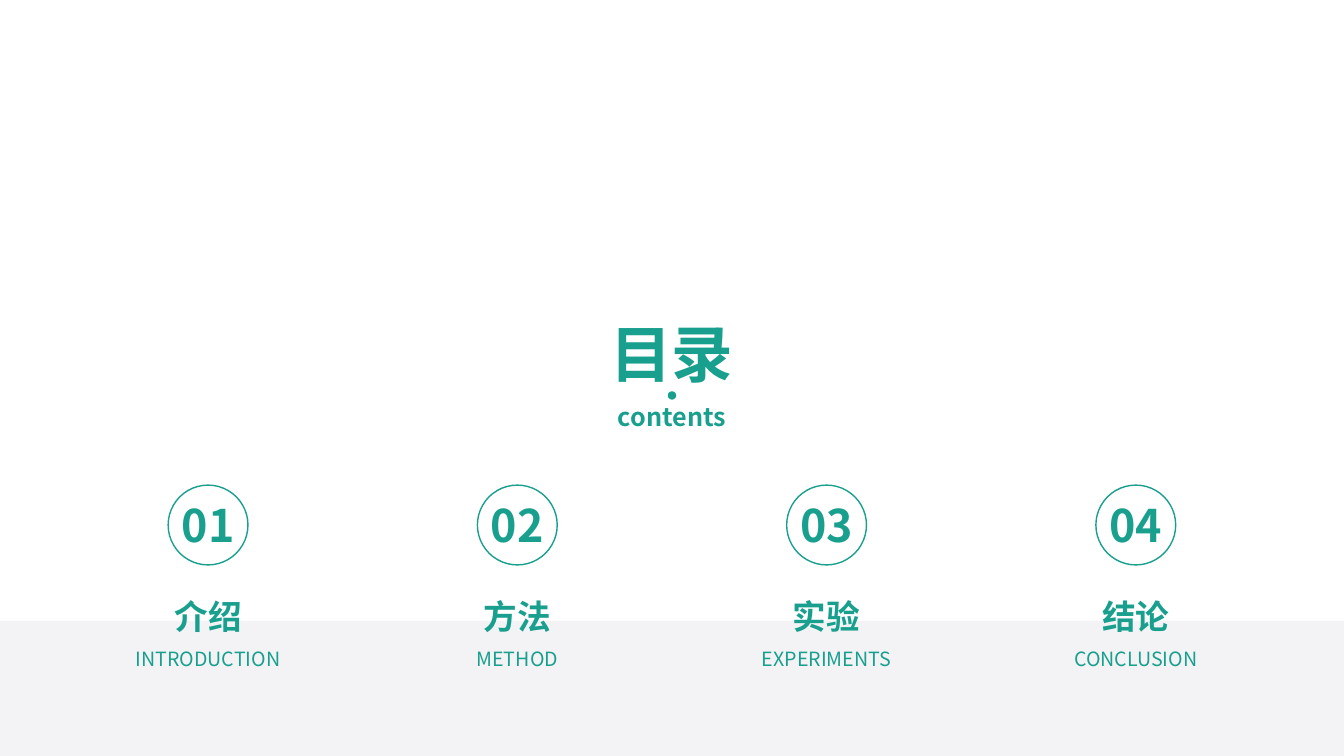
import pptx
import pptx.dml.color
import pptx.enum.shapes
import pptx.enum.text
import pptx.util
from lxml import etree

Pt = pptx.util.Pt
OVAL = pptx.enum.shapes.MSO_SHAPE.OVAL
RECTANGLE = pptx.enum.shapes.MSO_SHAPE.RECTANGLE

COLORS = {"teal": "199F8E", "band": "F3F3F5"}
FONT = "Noto Sans CJK SC"
SLIDE_WIDTH, SLIDE_HEIGHT = 960, 540


def add_label(text, center, top, width, height, size, bold=True):
    """Add one centred teal line of text around a horizontal centre."""
    label = slide.shapes.add_textbox(Pt(center - width / 2), Pt(top), Pt(width), Pt(height))
    frame = label.text_frame
    frame.word_wrap = True
    frame.auto_size = pptx.enum.text.MSO_AUTO_SIZE.SHAPE_TO_FIT_TEXT
    frame.text = text
    paragraph = frame.paragraphs[0]
    paragraph.alignment = pptx.enum.text.PP_ALIGN.CENTER
    font = paragraph.runs[0].font
    font.name = FONT
    font.size = Pt(size)
    font.bold = bold
    font.color.rgb = pptx.dml.color.RGBColor.from_string(COLORS["teal"])
    east_asian = etree.SubElement(font._element, pptx.oxml.ns.qn("a:ea"))
    east_asian.set("typeface", FONT)


def add_plain_shape(kind, left, top, width, height, fill=None, line=None):
    shape = slide.shapes.add_shape(kind, Pt(left), Pt(top), Pt(width), Pt(height))
    shape.shadow.inherit = False
    if fill:
        shape.fill.solid()
        shape.fill.fore_color.rgb = pptx.dml.color.RGBColor.from_string(COLORS[fill])
    else:
        shape.fill.background()
    if line:
        shape.line.color.rgb = pptx.dml.color.RGBColor.from_string(COLORS[line])
        shape.line.width = Pt(1)
    else:
        shape.line.fill.background()


presentation = pptx.Presentation()
presentation.slide_width = Pt(SLIDE_WIDTH)
presentation.slide_height = Pt(SLIDE_HEIGHT)
slide = presentation.slides.add_slide(presentation.slide_layouts[6])

# Grey band along the bottom
band_top = 443.5
add_plain_shape(RECTANGLE, 0, band_top, SLIDE_WIDTH, SLIDE_HEIGHT - band_top, fill="band")

# Heading
middle = SLIDE_WIDTH / 2
dot = 6
add_label("目录", middle, 221.8, 138, 60.5, 44)
add_plain_shape(OVAL, middle - dot / 2, 279.5, dot, dot, fill="teal")
add_label("contents", middle, 283, 138, 29, 18)

# Four numbered sections in equal columns
sections = [
    ("介绍", "INTRODUCTION"),
    ("方法", "METHOD"),
    ("实验", "EXPERIMENTS"),
    ("结论", "CONCLUSION"),
]
first_center, pitch = 148.6, 220.9
ring = 57
for index, (title, subtitle) in enumerate(sections):
    center = first_center + index * pitch
    add_plain_shape(OVAL, center - ring / 2, 346.5, ring, ring, line="teal")
    add_label(f"{index + 1:02d}", center, 352, 62, 46, 32)
    add_label(title, center, 421.8, 218, 36, 24)
    add_label(subtitle, center, 458.5, 218, 24.5, 14, bold=False)

presentation.save("out.pptx")
